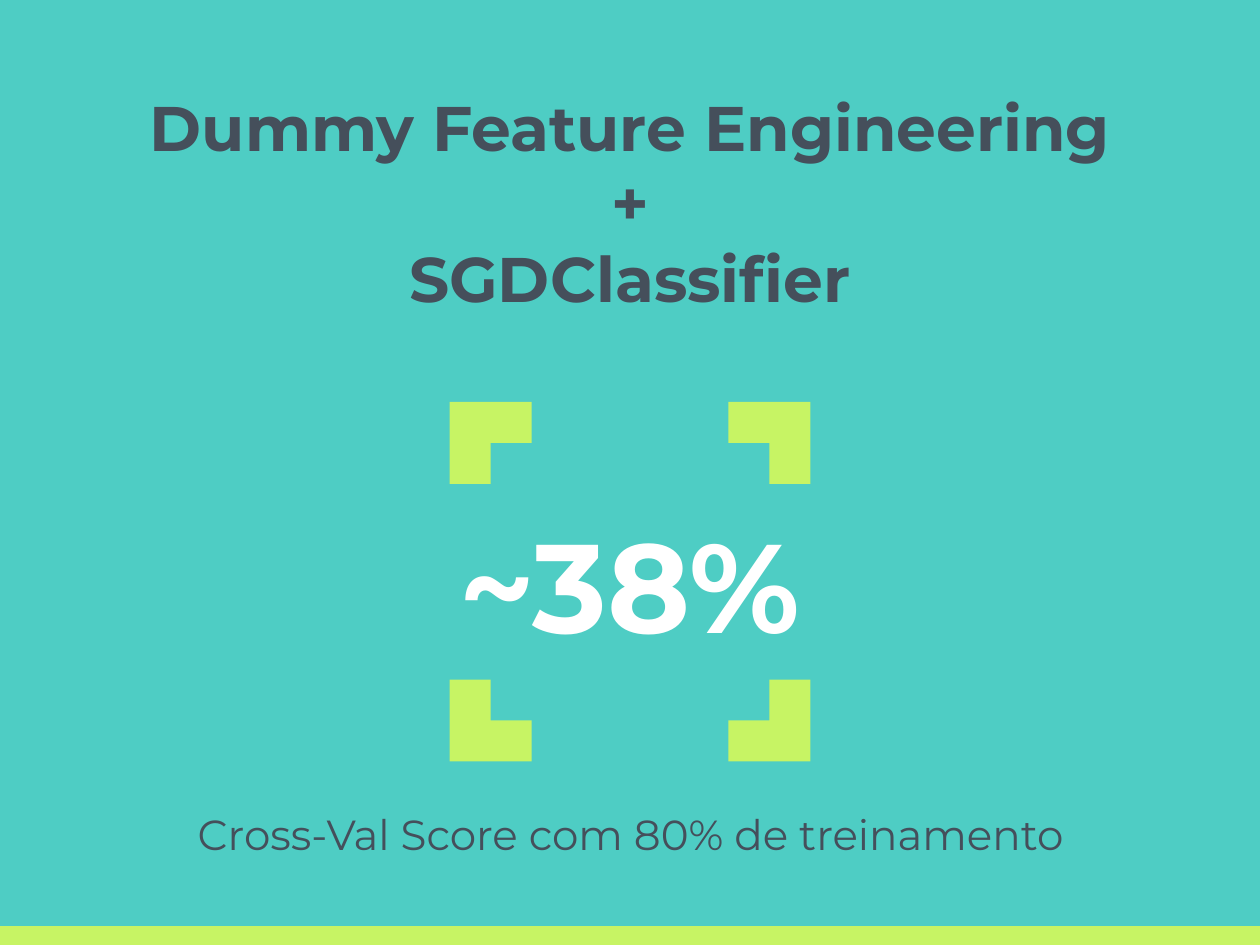
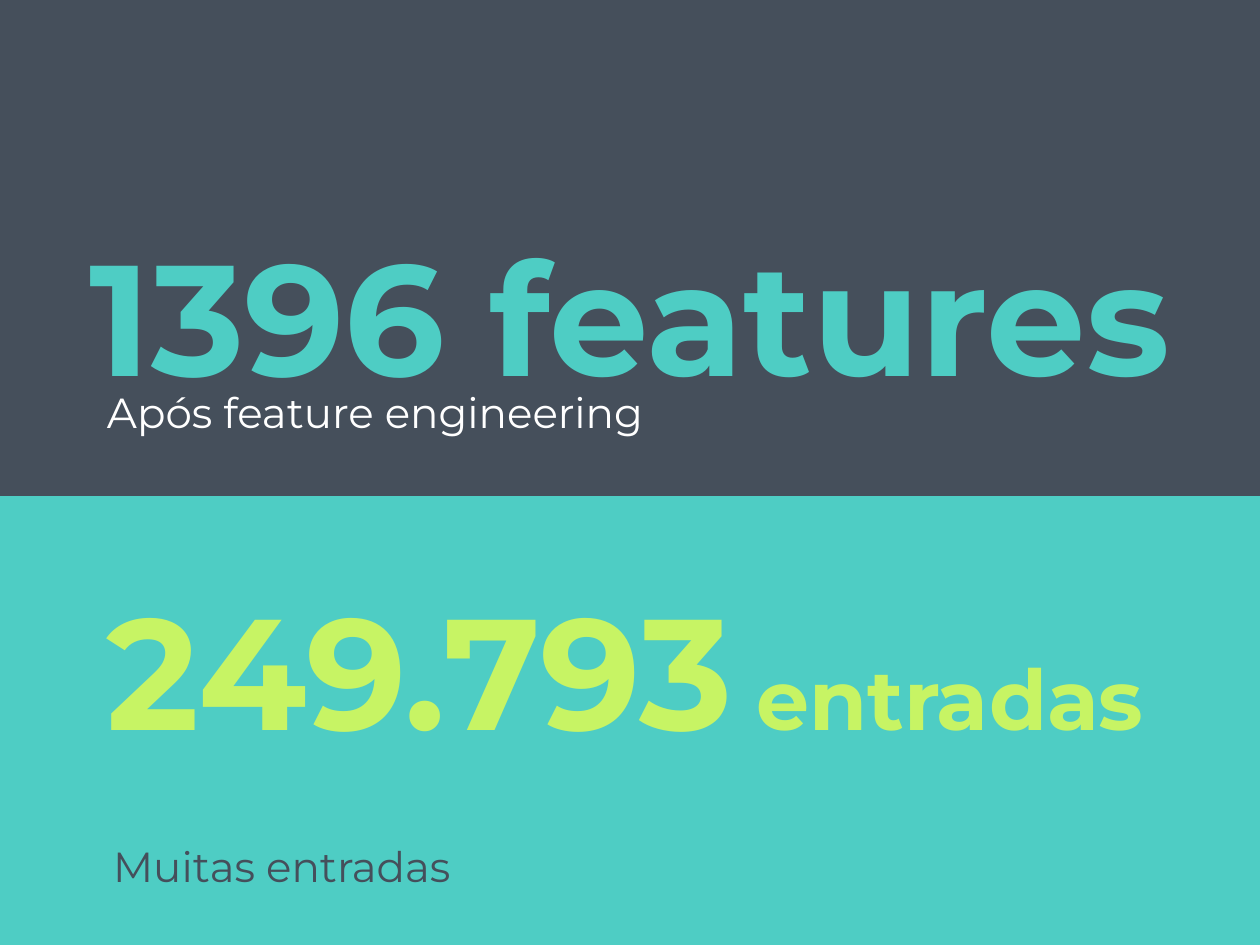
from pptx import Presentation
from pptx.dml.color import RGBColor
from pptx.enum.shapes import MSO_SHAPE as Preset
from pptx.enum.text import MSO_ANCHOR as Anchor, PP_ALIGN as Align
from pptx.util import Pt

WIDTH, HEIGHT = 720, 540
TEAL, LIME, SLATE, WHITE = "4ECDC4", "C7F464", "454F5B", "FFFFFF"
INSET = 7.2
TITLE = {"size": 36, "bold": True}
FIGURE = {"size": 72, "bold": True}
HEADLINE = {"size": 90, "bold": True}
UNIT = {"size": 48, "bold": True}
CAPTION = {"size": 24, "bold": False}


def paint(target, color):
    target.solid()
    target.fore_color.rgb = RGBColor.from_string(color)


def add_block(shapes, preset, box, color, rotation=0):
    shape = shapes.add_shape(preset, *map(Pt, box))
    shape.shadow.inherit = False
    shape.rotation = rotation
    paint(shape.fill, color)
    shape.line.fill.background()
    return shape


def add_text(slide, box, paragraphs, color, anchor=Anchor.TOP, align=Align.LEFT):
    frame = slide.shapes.add_textbox(*map(Pt, box)).text_frame
    settings = {"word_wrap": True, "vertical_anchor": anchor}
    settings.update({f"margin_{side}": Pt(INSET) for side in ("left", "top", "right", "bottom")})
    for name, value in settings.items():
        setattr(frame, name, value)
    for index, runs in enumerate(paragraphs):
        paragraph = frame.paragraphs[0] if index == 0 else frame.add_paragraph()
        paragraph.alignment = align
        for text, style in runs:
            run = paragraph.add_run()
            run.text = text
            font = {**style, "size": Pt(style["size"]), "name": "Montserrat"}
            for name, value in font.items():
                setattr(run.font, name, value)
            paint(run.font.fill, color)


def add_brackets(slide, box, size):
    left, top, width, height = box
    right, bottom = left + width - size, top + height - size
    group = slide.shapes.add_group_shape()
    corners = [(left, bottom), (left, top), (right, top), (right, bottom)]
    for turn, (x, y) in enumerate(corners):
        add_block(group.shapes, Preset.CORNER, (x, y, size, size), LIME, turn * 90)


def add_slide(presentation, background):
    slide = presentation.slides.add_slide(presentation.slide_layouts[6])
    paint(slide.background.fill, background)
    return slide


def build_score_slide(presentation, title_lines, score, caption):
    slide = add_slide(presentation, TEAL)
    band = 10.8
    add_block(slide.shapes, Preset.RECTANGLE, (0, HEIGHT - band, WIDTH, band), LIME)
    add_text(slide, (54, 229.7, 612, 206.6), [[(score, FIGURE)]], WHITE,
             Anchor.MIDDLE, Align.CENTER)
    add_text(slide, (87.8, 455, 545, 69), [[(caption, CAPTION)]], SLATE, align=Align.CENTER)
    add_brackets(slide, (257, 229.7, 206, 205.4), 46.8)
    add_text(slide, (51, 36, 618, 151.2), [[(line, TITLE)] for line in title_lines],
             SLATE, Anchor.BOTTOM, Align.CENTER)


def add_number_panel(slide, box, fill, headline, caption):
    left, top, width, height = box
    add_block(slide.shapes, Preset.RECTANGLE, box, fill)
    for (x, y, w, h), runs, color, anchor in (
        (*headline, Anchor.BOTTOM),
        (*caption, Anchor.TOP),
    ):
        add_text(slide, (left + x, top + y, w, h), [runs], color, anchor)


def build_numbers_slide(presentation):
    slide = add_slide(presentation, LIME)
    split = 283.5
    add_number_panel(
        slide, (0, 0, WIDTH, split), SLATE,
        ((44, 121, 632, 119.5), [("1396 features", HEADLINE)], TEAL),
        ((54, 213.8, 327.6, 49), [("Após feature engineering", CAPTION)], WHITE))
    add_number_panel(
        slide, (0, split, WIDTH, HEIGHT - split), TEAL,
        ((54, 65, 612, 94.3), [("249.793", HEADLINE), (" entradas", UNIT)], LIME),
        ((57.6, 189.5, 612, 49), [("Muitas entradas", CAPTION)], SLATE))


presentation = Presentation()
presentation.slide_width, presentation.slide_height = Pt(WIDTH), Pt(HEIGHT)
build_score_slide(presentation, ["Dummy Feature Engineering", "+", "SGDClassifier"],
                  "~38%", "Cross-Val Score com 80% de treinamento")
build_numbers_slide(presentation)
presentation.save("out.pptx")
